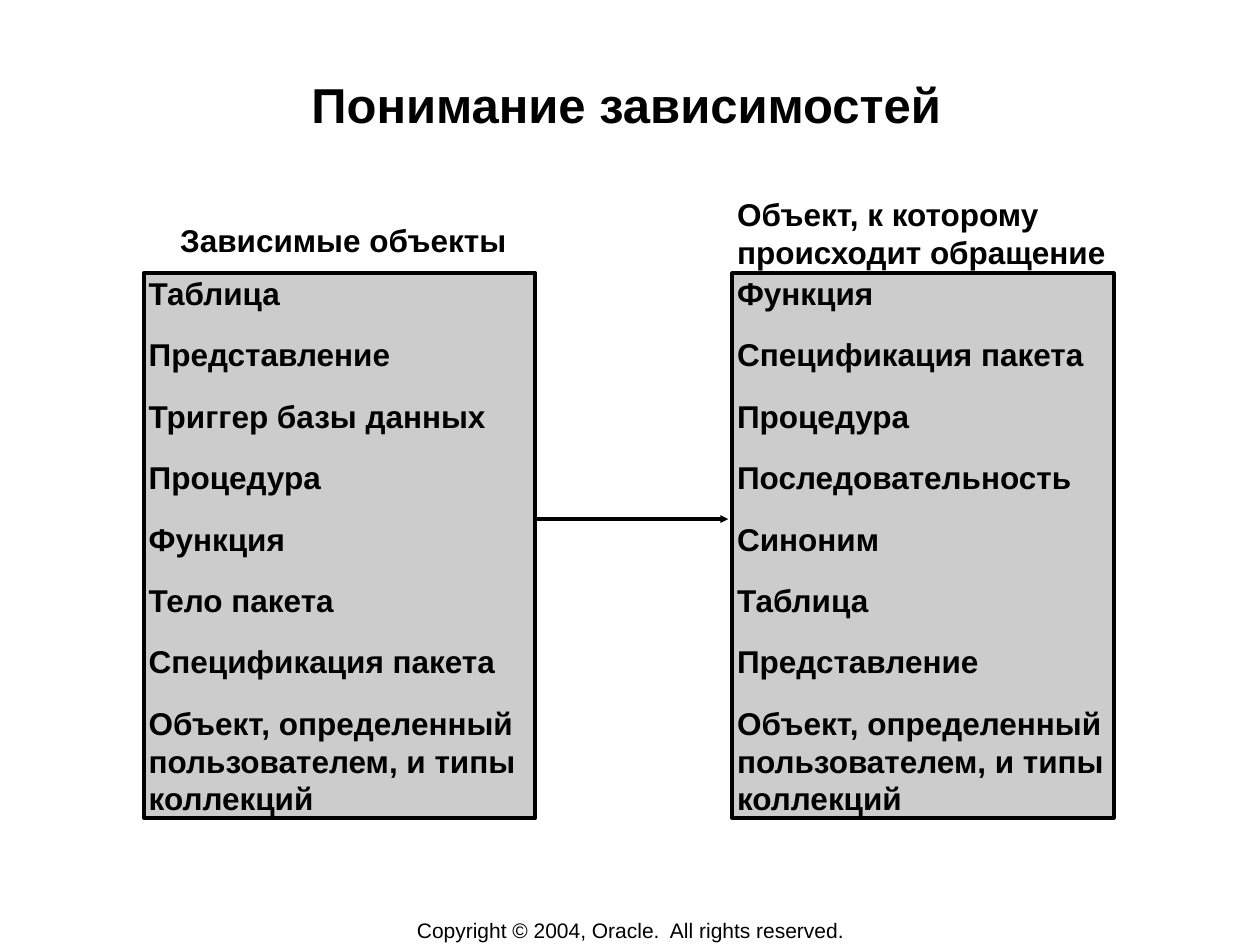
from dataclasses import dataclass
from pptx import Presentation
from pptx.dml.color import RGBColor as Rgb
from pptx.enum.shapes import MSO_CONNECTOR as Conn
from pptx.enum.text import MSO_ANCHOR as Anchor, MSO_AUTO_SIZE as Auto, PP_ALIGN as Align
from pptx.oxml.ns import qn
from pptx.slide import Slide
from pptx.util import Inches, Length, Pt
from lxml.etree import SubElement as Sub

COLS, ROWS = 100, 75  # square cells


@dataclass(frozen=True)
class Theme:
    font: str = "Arial"
    ink: Rgb = Rgb(0, 0, 0)
    panel: Rgb = Rgb(0xCC, 0xCC, 0xCC)
    title: Length = Pt(28)
    text: Length = Pt(18)
    small: Length = Pt(12)
    line: Length = Pt(2.25)
    gap: Length = Pt(13.5)


@dataclass(frozen=True)
class Area:
    col: float
    row: float
    wide: float
    high: float


@dataclass(frozen=True)
class Group:
    head: str
    spot: Area
    wrap: bool
    box: Area
    items: tuple[str, ...]


THEME = Theme()
TOP, HIGH = 21.7, 43.2
TYPES = "Объект, определенный\vпользователем, и типы\vколлекций"
GROUPS = (
    Group("Зависимые объекты", Area(13.3, 17, 27.9, 4), False,
          Area(11.4, TOP, 31.1, HIGH),
          ("Таблица", "Представление", "Триггер базы данных", "Процедура",
           "Функция", "Тело пакета", "Спецификация пакета", TYPES)),
    Group("Объект, к которому происходит обращение", Area(57.5, 15, 35, 4), True,
          Area(58.1, TOP, 30.3, HIGH),
          ("Функция", "Спецификация пакета", "Процедура", "Последовательность",
           "Синоним", "Таблица", "Представление", TYPES)),
)


def cell(count: float) -> Length:
    return Inches(count / 10)


def place(shape, area: Area) -> None:
    spots = {"left": area.col, "top": area.row, "width": area.wide, "height": area.high}
    for name, count in spots.items():
        setattr(shape, name, cell(count))


def write(shape, lines: tuple[str, ...], size: Length, bold: bool = True,
          align: Align = Align.LEFT, anchor: Anchor = Anchor.TOP, wrap: bool = True,
          pads: tuple[float, ...] = (0.1, 0.05, 0.1, 0.05)) -> None:
    frame = shape.text_frame
    form = {"auto_size": Auto.NONE, "word_wrap": wrap, "vertical_anchor": anchor}
    sides = ("margin_left", "margin_top", "margin_right", "margin_bottom")
    form.update(zip(sides, map(Inches, pads)))
    for name, value in form.items():
        setattr(frame, name, value)
    for at, line in enumerate(lines):
        para = frame.add_paragraph() if at else frame.paragraphs[0]
        para.text = line
        para.alignment = align
        para.space_before = THEME.gap if at else Pt(0)
        props = para._p.get_or_add_pPr()
        props.set("marL", "0")
        props.set("indent", "0")
        Sub(props, qn("a:buNone"))
        for name, value in {"name": THEME.font, "size": size, "bold": bold}.items():
            setattr(para.font, name, value)
        para.font.color.rgb = THEME.ink


def draw_group(head, body, group: Group) -> None:
    place(head, group.spot)
    write(head, (group.head,), THEME.text, wrap=group.wrap)
    place(body, group.box)
    body.fill.solid()
    body.fill.fore_color.rgb = THEME.panel
    body.line.color.rgb = THEME.ink
    body.line.width = THEME.line
    write(body, group.items, THEME.text, anchor=Anchor.MIDDLE,
          pads=(0.04, 0.05, 0.02, 0.05))


def draw_arrow(slide: Slide, start: float, end: float, row: float) -> None:
    link = slide.shapes.add_connector(
        Conn.STRAIGHT, cell(start), cell(row), cell(end), cell(row))
    link.line.color.rgb = THEME.ink
    link.line.width = THEME.line
    Sub(link.line._get_or_add_ln(), qn("a:tailEnd"), type="triangle", w="sm", len="sm")
    Sub(link._element.spPr, qn("a:effectLst"))


def main() -> None:
    deck = Presentation()
    deck.slide_width, deck.slide_height = cell(COLS), cell(ROWS)
    slide = deck.slides.add_slide(deck.slide_layouts.get_by_name("Comparison"))
    title, *parts = slide.placeholders

    place(title, Area(9.7, 5.8, 80, 9.6))
    write(title, ("Понимание зависимостей",), THEME.title, align=Align.CENTER,
          pads=(0.01,) * 4)
    for head, body, group in zip(parts[::2], parts[1::2], GROUPS):
        draw_group(head, body, group)

    left, right = (group.box for group in GROUPS)
    draw_arrow(slide, left.col + left.wide, right.col - 0.3, 41.2)

    foot = slide.shapes.add_textbox(0, 0, 0, 0)
    place(foot, Area(27.6, 72.8, 44.9, 2.1))
    write(foot, ("Copyright © 2004, Oracle.  All rights reserved.",), THEME.small,
          bold=False, align=Align.CENTER, anchor=Anchor.MIDDLE, wrap=False)
    deck.save("out.pptx")


if __name__ == "__main__":
    main()
